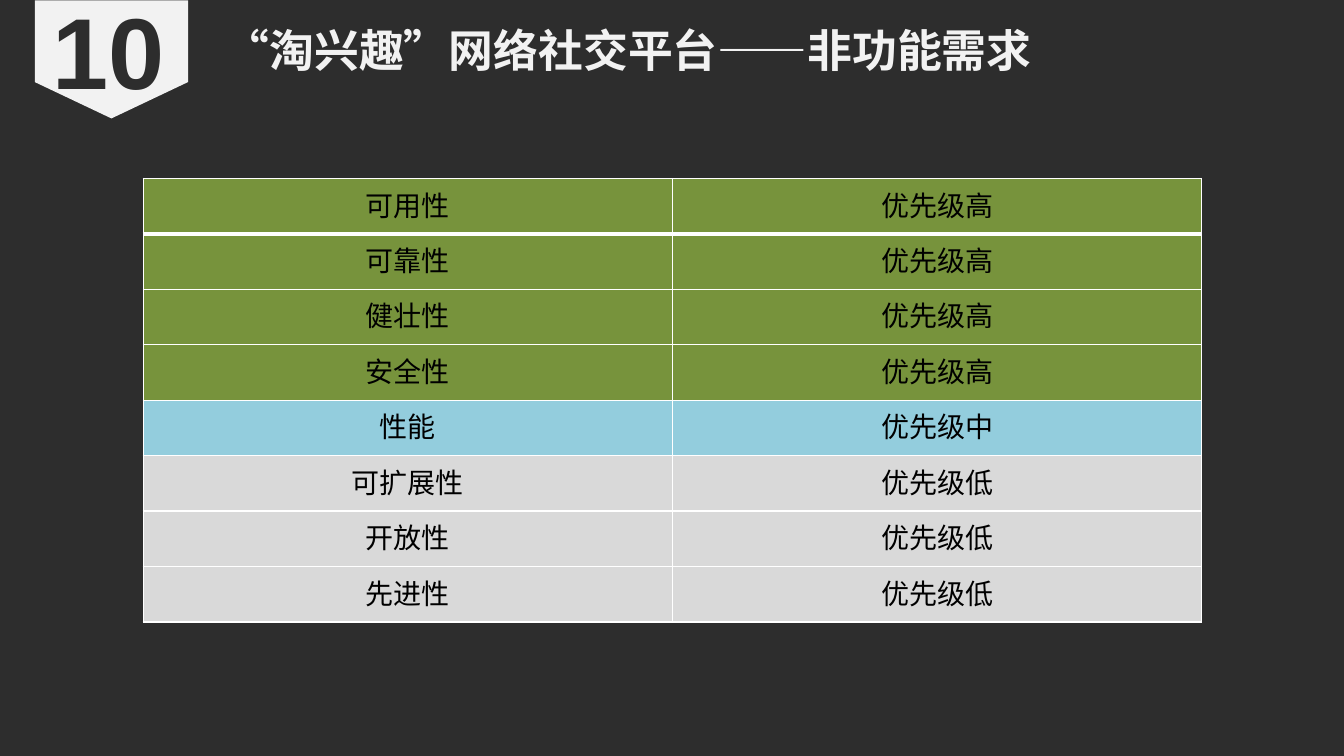
import pptx
import pptx.util
import pptx.dml.color
import pptx.enum.lang
import pptx.enum.shapes
import pptx.enum.text
import pptx.oxml.ns
import lxml.etree

Inches, Pt = pptx.util.Inches, pptx.util.Pt
RGBColor = pptx.dml.color.RGBColor
qn = pptx.oxml.ns.qn

DARK = RGBColor(0x2D, 0x2D, 0x2D)
LIGHT = RGBColor(0xF2, 0xF2, 0xF2)
BLACK = RGBColor(0, 0, 0)
WHITE = RGBColor(0xFF, 0xFF, 0xFF)
GREEN = RGBColor(0x77, 0x93, 0x3C)
BLUE = RGBColor(0x93, 0xCD, 0xDD)
GREY = RGBColor(0xD9, 0xD9, 0xD9)

CJK = "Noto Sans CJK SC"
CHINESE = pptx.enum.lang.MSO_LANGUAGE_ID.SIMPLIFIED_CHINESE
NUMBER_FONT = {"name": "Arial", "size": Pt(72), "bold": True}
TITLE_FONT = {"name": CJK, "size": Pt(32), "bold": True, "language_id": CHINESE}
CELL_FONT = {"name": CJK, "size": Pt(20), "bold": False, "language_id": CHINESE}

PRIORITIES = [
    ("优先级高", GREEN, ["可用性", "可靠性", "健壮性", "安全性"]),
    ("优先级中", BLUE, ["性能"]),
    ("优先级低", GREY, ["可扩展性", "开放性", "先进性"]),
]


def write(tf, text, font, color):
    """Put one formatted run into the first paragraph and return the paragraph."""
    p = tf.paragraphs[0]
    r = p.add_run()
    r.text = text
    for name, value in font.items():
        setattr(r.font, name, value)
    r.font.color.rgb = color
    ea = lxml.etree.SubElement(r._r.get_or_add_rPr(), qn("a:ea"))
    ea.set("typeface", font["name"])
    return p


def add_text(slide, box, text, font, color, wrap):
    """Add a text box that grows with its text."""
    tf = slide.shapes.add_textbox(*map(Inches, box)).text_frame
    tf.word_wrap = wrap
    tf.auto_size = pptx.enum.text.MSO_AUTO_SIZE.SHAPE_TO_FIT_TEXT
    write(tf, text, font, color)


def add_badge(slide, box):
    """Add the pentagon that points down from the top edge."""
    sp = slide.shapes.add_shape(pptx.enum.shapes.MSO_SHAPE.PENTAGON, *map(Inches, box))
    sp.rotation = 90
    sp.adjustments[0] = 0.308
    sp.shadow.inherit = False
    sp.fill.solid()
    sp.fill.fore_color.rgb = LIGHT
    sp.line.fill.background()


def set_borders(cell, widths):
    """Draw white cell borders with the given widths in points."""
    tcPr = cell._tc.get_or_add_tcPr()
    for side, width in widths.items():
        ln = lxml.etree.SubElement(tcPr, qn("a:ln" + side), w=str(Pt(width)))
        fill = lxml.etree.SubElement(ln, qn("a:solidFill"))
        lxml.etree.SubElement(fill, qn("a:srgbClr"), val=str(WHITE))


def add_priority_table(slide, left, top, col_width, row_height):
    """Add the table of requirements, coloured by priority."""
    rows = [(name, level, color) for level, color, names in PRIORITIES for name in names]
    frame = slide.shapes.add_table(len(rows), 2, Inches(left), Inches(top),
                                   Inches(2 * col_width), Inches(row_height * len(rows)))
    table = frame.table
    table.first_row = table.horz_banding = False
    for i, (name, level, color) in enumerate(rows):
        table.rows[i].height = Inches(row_height)
        widths = {"L": 1, "R": 1, "T": 3 if i == 1 else 1, "B": 3 if i == 0 else 1}
        for j, text in enumerate((name, level)):
            cell = table.cell(i, j)
            set_borders(cell, widths)
            cell.fill.solid()
            cell.fill.fore_color.rgb = color
            p = write(cell.text_frame, text, CELL_FONT, BLACK)
            p.alignment = pptx.enum.text.PP_ALIGN.CENTER


def main():
    """Build the slide and save it."""
    prs = pptx.Presentation()
    prs.slide_width, prs.slide_height = Inches(13.33), Inches(7.5)
    s = prs.slides.add_slide(prs.slide_layouts[6])
    s.background.fill.solid()
    s.background.fill.fore_color.rgb = DARK
    add_badge(s, (0.52, -0.17, 1.17, 1.52))
    add_text(s, (0.42, -0.16, 1.31, 1.31), "10", NUMBER_FONT, DARK, False)
    add_priority_table(s, 1.42, 1.77, 5.25, 0.55)
    add_text(s, (2.13, 0.18, 10.15, 0.64), "“淘兴趣”网络社交平台——非功能需求",
             TITLE_FONT, LIGHT, True)
    prs.save("out.pptx")


main()
